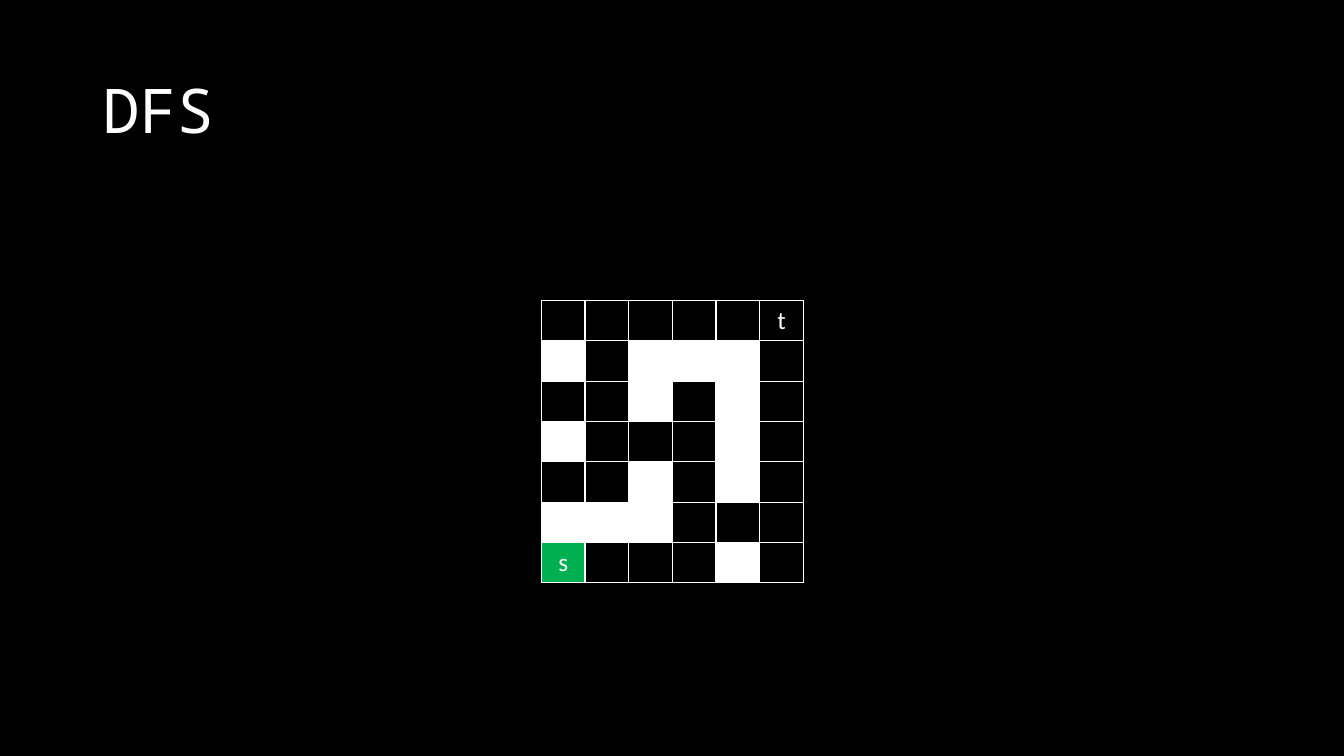
"""Build a slide with a grid maze for depth-first search."""
from dataclasses import dataclass

from lxml import etree
from pptx import Presentation
from pptx.dml.color import RGBColor
from pptx.enum.text import MSO_ANCHOR, PP_ALIGN
from pptx.oxml.ns import qn
from pptx.util import Inches, Pt

MIDDLE = MSO_ANCHOR.MIDDLE
CENTER = PP_ALIGN.CENTER
COLORS = {"back": "000000", "wall": "FFFFFF", "start": "00B050", "text": "FFFFFF", "line": "FFFFFF"}
WIDTH, HEIGHT = Inches(13.333), Inches(7.5)
MAZE = (
    ".....t",
    "#.###.",
    "..#.#.",
    "#...#.",
    "..#.#.",
    "###...",
    "s...#.",
)
FILLS = {"#": "wall", "s": "start"}


@dataclass(frozen=True)
class Box:
    """Hold a place as shares of the slide's size."""

    left: float
    top: float
    width: float
    height: float

    def emu(self) -> tuple[int, int, int, int]:
        """Return left, top, width and height in EMU."""
        return (round(self.left * WIDTH), round(self.top * HEIGHT),
                round(self.width * WIDTH), round(self.height * HEIGHT))


TITLE_BOX = Box(0.92 / 13.33, 0.4 / 7.5, 11.5 / 13.33, 1.45 / 7.5)
MAZE_BOX = Box(5.37 / 13.33, 2.98 / 7.5, 2.6 / 13.33, 2.8 / 7.5)


def rgb(name: str) -> RGBColor:
    """Look up a named colour."""
    return RGBColor.from_string(COLORS[name])


def add_run(p, text: str, size: float, font: str) -> None:
    """Add one run of light text."""
    r = p.add_run()
    r.text = text
    r.font.size = Pt(size)
    r.font.name = font
    r.font.color.rgb = rgb("text")


def add_title(s, text: str, box: Box) -> None:
    """Add the heading."""
    tf = s.shapes.add_textbox(*box.emu()).text_frame
    tf.word_wrap = True
    tf.vertical_anchor = MIDDLE
    p = tf.paragraphs[0]
    p.line_spacing = 0.9
    add_run(p, text, 44, "Noto Sans Mono")


def add_borders(cell) -> None:
    """Draw a thin line on all four sides of a cell."""
    tc_pr = cell._tc.get_or_add_tcPr()
    for side in ("lnL", "lnR", "lnT", "lnB"):
        ln = etree.SubElement(tc_pr, qn(f"a:{side}"), w=str(Pt(1)))
        fill = etree.SubElement(ln, qn("a:solidFill"))
        etree.SubElement(fill, qn("a:srgbClr"), val=COLORS["line"])


def add_maze(s, maze: tuple[str, ...], box: Box) -> None:
    """Add the maze as a table, one cell per character."""
    table = s.shapes.add_table(len(maze), len(maze[0]), *box.emu()).table
    table.first_row = False
    table.horz_banding = False
    for i, row in enumerate(maze):
        for j, mark in enumerate(row):
            cell = table.cell(i, j)
            add_borders(cell)
            if mark in FILLS:
                cell.fill.solid()
                cell.fill.fore_color.rgb = rgb(FILLS[mark])
            else:
                cell.fill.background()
            if mark.isalpha():
                p = cell.text_frame.paragraphs[0]
                p.alignment = CENTER
                add_run(p, mark, 18, "Calibri")


def main() -> None:
    """Build and save the slide."""
    prs = Presentation()
    prs.slide_width, prs.slide_height = WIDTH, HEIGHT
    s = prs.slides.add_slide(prs.slide_layouts[6])
    s.background.fill.solid()
    s.background.fill.fore_color.rgb = rgb("back")
    add_title(s, "DFS", TITLE_BOX)
    add_maze(s, MAZE, MAZE_BOX)
    prs.save("out.pptx")


if __name__ == "__main__":
    main()
